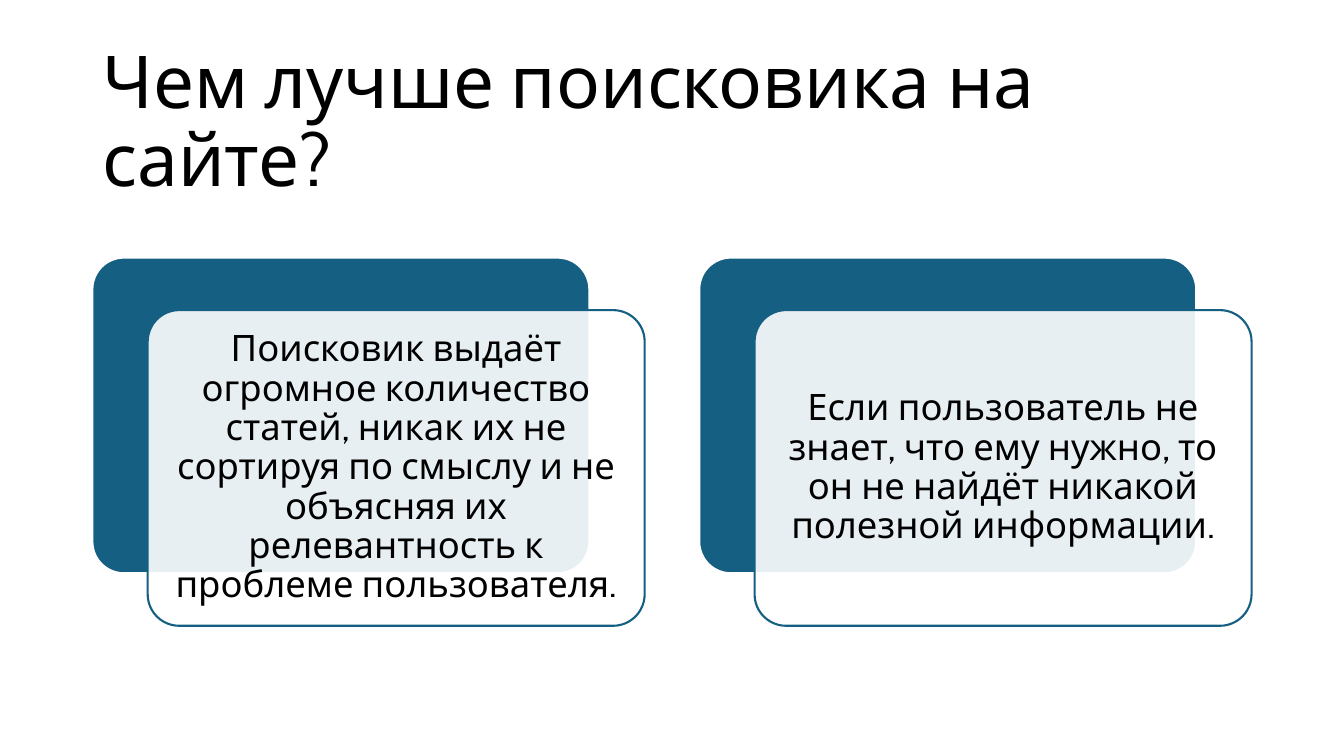
from lxml.etree import SubElement
from pptx import Presentation
from pptx.dml.color import RGBColor
from pptx.enum.shapes import MSO_SHAPE as Preset
from pptx.enum.text import MSO_ANCHOR as Anchor, MSO_AUTO_SIZE as AutoSize, PP_ALIGN as Align
from pptx.oxml.ns import qn
from pptx.util import Pt

COLORS = {"teal": "156082", "white": "FFFFFF", "black": "000000"}
FONT = "Cabin"
TITLE = "Чем лучше поисковика на сайте?"
CARDS = [
    "Поисковик выдаёт огромное количество статей, никак их не сортируя по смыслу "
    "и не объясняя их релевантность к проблеме пользователя.",
    "Если пользователь не знает, что ему нужно, то он не найдёт никакой полезной информации.",
]
CARD_INSETS = {f"margin_{side}": Pt(8) for side in ("left", "top", "right", "bottom")}


def color(name):
    return RGBColor.from_string(COLORS[name])


def apply(target, values):
    for name, value in values.items():
        setattr(target, name, value)


def write(shape, text, size, align, frame_format):
    frame = shape.text_frame
    apply(frame, {"word_wrap": True, "auto_size": AutoSize.NONE,
                  "vertical_anchor": Anchor.MIDDLE, **frame_format})
    para = frame.paragraphs[0]
    apply(para, {"alignment": align, "line_spacing": 0.9})
    span = para.add_run()
    span.text = text
    apply(span.font, {"name": FONT, "size": Pt(size)})
    span.font.color.rgb = color("black")


def add_title(page, left, top, width, height):
    title = page.shapes.title
    apply(title, {"left": Pt(left), "top": Pt(top), "width": Pt(width), "height": Pt(height)})
    write(title, TITLE, 52, Align.LEFT, {})


def add_panel(page, left, top, width, height, fill, line):
    panel = page.shapes.add_shape(
        Preset.ROUNDED_RECTANGLE, Pt(left), Pt(top), Pt(width), Pt(height))
    panel.adjustments[0] = 0.1
    panel.shadow.inherit = False
    panel.fill.solid()
    panel.fill.fore_color.rgb = color(fill)
    panel.line.color.rgb = color(line)
    panel.line.width = Pt(1.5)
    return panel


def add_card(page, left, top, width, height, text):
    shift_x, shift_y = 39.5, 37.5
    panel_size = width - shift_x, height - shift_y
    add_panel(page, left, top, *panel_size, "teal", "white")
    front = add_panel(page, left + shift_x, top + shift_y, *panel_size, "white", "teal")
    fill_color = front._element.spPr.find(qn("a:solidFill"))[0]
    SubElement(fill_color, qn("a:alpha"), val="90000")
    write(front, text, 26, Align.CENTER, CARD_INSETS)


def add_cards(page, left, top, width, height, gap):
    card_width = (width - gap * (len(CARDS) - 1)) / len(CARDS)
    for index, text in enumerate(CARDS):
        add_card(page, left + index * (card_width + gap), top, card_width, height, text)


def main():
    deck = Presentation()
    apply(deck, {"slide_width": Pt(960), "slide_height": Pt(540)})
    page = deck.slides.add_slide(deck.slide_layouts[5])
    add_title(page, 66, 44, 828, 89)
    add_cards(page, 66, 184, 828, 263, 39)
    deck.save("out.pptx")


if __name__ == "__main__":
    main()
